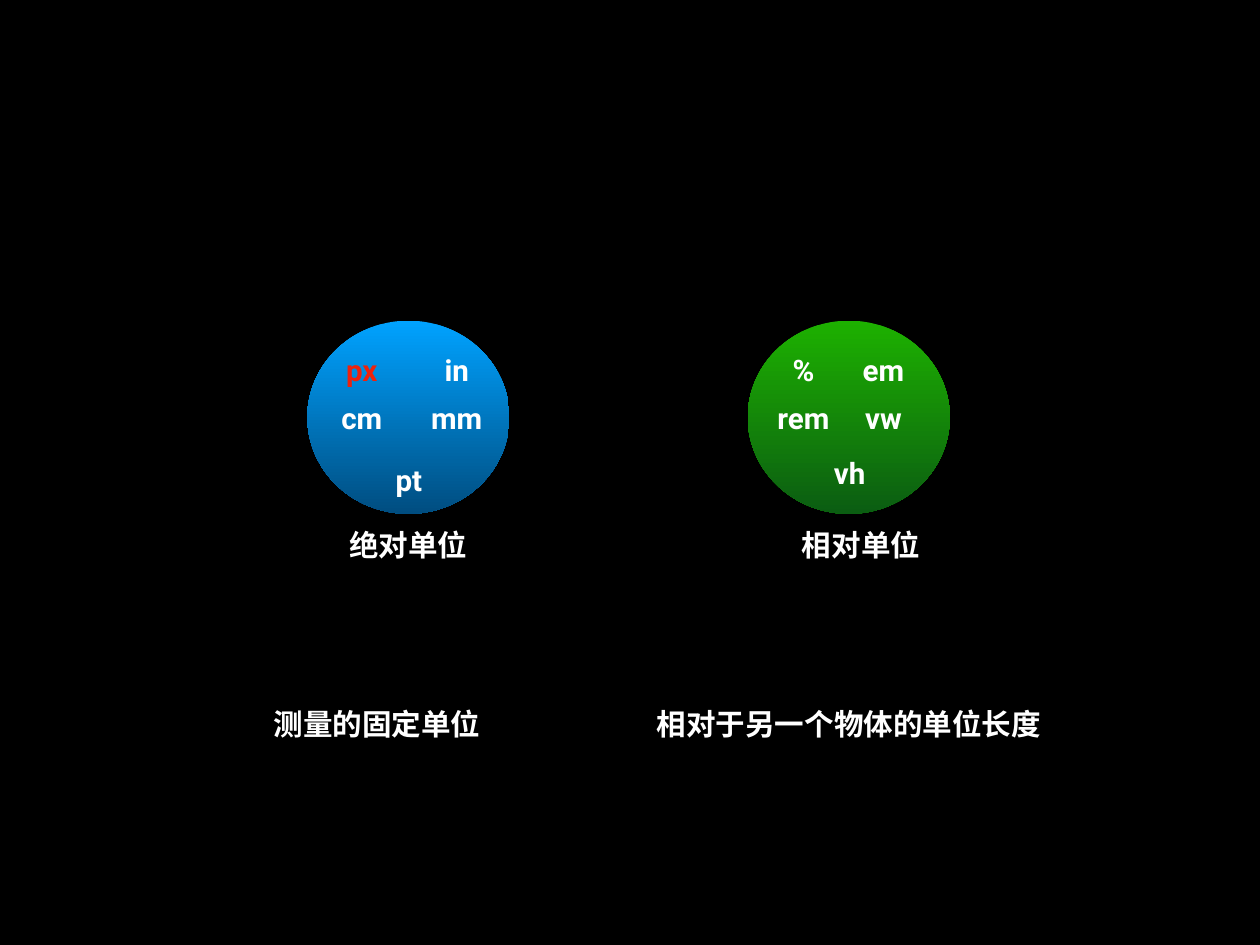
"""Build a slide that contrasts absolute and relative length units."""
from dataclasses import dataclass

from pptx import Presentation
from pptx.dml.color import RGBColor
from pptx.enum.shapes import MSO_SHAPE
from pptx.enum.text import MSO_ANCHOR, MSO_AUTO_SIZE, PP_ALIGN
from pptx.slide import Slide
from pptx.util import Pt

OVAL = MSO_SHAPE.OVAL
MIDDLE = MSO_ANCHOR.MIDDLE
CENTER = PP_ALIGN.CENTER
GROW = MSO_AUTO_SIZE.SHAPE_TO_FIT_TEXT

WHITE, RED, BLACK = "FFFFFF", "EE220C", "000000"
CIRCLE_TOP, CIRCLE_WIDTH, CIRCLE_HEIGHT = 260.6, 164.2, 157
CAPTION_TOP, CAPTION_WIDTH, DESCRIPTION_TOP = 422.6, 105, 567.4
CHINESE_HEIGHT, UNIT_HEIGHT = 41, 36
FIRST_ROW, SECOND_ROW = 282.2, 321.1


@dataclass
class Unit:
    name: str
    center: float
    top: float
    width: float
    color: str = WHITE


@dataclass
class UnitGroup:
    circle_left: float
    gradient: tuple[str, str]
    caption: str
    caption_center: float
    description: str
    description_center: float
    description_width: float
    units: list[Unit]


GROUPS = [
    UnitGroup(249.8, ("00A2FF", "004D80"), "绝对单位", 331.9,
              "测量的固定单位", 306.4, 251.3, [
                  Unit("px", 294, FIRST_ROW, 36.7, RED),
                  Unit("in", 371.2, FIRST_ROW, 29.5),
                  Unit("cm", 294, SECOND_ROW, 44.6),
                  Unit("mm", 371.2, SECOND_ROW, 52.6),
                  Unit("pt", 332.3, 371.5, 32.4),
              ]),
    UnitGroup(607.7, ("1DB100", "0B5D12"), "相对单位", 699.8,
              "相对于另一个物体的单位长度", 689.8, 322.6, [
                  Unit("%", 653, FIRST_ROW, 33),
                  Unit("em", 718, FIRST_ROW, 44.6),
                  Unit("rem", 653, SECOND_ROW, 53.3),
                  Unit("vw", 718, SECOND_ROW, 41),
                  Unit("vh", 690.5, 365.8, 36),
              ]),
]


def rgb(color: str) -> RGBColor:
    """Turn a hex string into a colour."""
    return RGBColor.from_string(color)


def add_text(slide: Slide, text: str, *, center: float, top: float,
             width: float, height: float, color: str = WHITE,
             wrap: bool = False) -> None:
    """Add a bold text box centred on a horizontal position."""
    box = slide.shapes.add_textbox(Pt(center - width / 2), Pt(top), Pt(width), Pt(height))
    frame = box.text_frame
    frame.word_wrap = wrap
    frame.auto_size = GROW
    frame.vertical_anchor = MIDDLE
    frame.margin_left = frame.margin_right = Pt(4)
    frame.margin_top = frame.margin_bottom = Pt(4)
    paragraph = frame.paragraphs[0]
    paragraph.alignment = CENTER
    run = paragraph.add_run()
    run.text = text
    run.font.name = "Roboto"
    run.font.size = Pt(24)
    run.font.bold = True
    run.font.color.rgb = rgb(color)


def add_circle(slide: Slide, left: float, gradient: tuple[str, str]) -> None:
    """Add an ellipse shaded from top to bottom."""
    shape = slide.shapes.add_shape(
        OVAL, Pt(left), Pt(CIRCLE_TOP), Pt(CIRCLE_WIDTH), Pt(CIRCLE_HEIGHT))
    shape.shadow.inherit = False
    shape.line.fill.background()
    shape.fill.gradient()
    shape.fill.gradient_angle = 270
    for stop, color in zip(shape.fill.gradient_stops, gradient):
        stop.color.rgb = rgb(color)


def add_group(slide: Slide, group: UnitGroup) -> None:
    """Draw one circle with its units, caption and description."""
    add_circle(slide, group.circle_left, group.gradient)
    add_text(slide, group.caption, center=group.caption_center, top=CAPTION_TOP,
             width=CAPTION_WIDTH, height=CHINESE_HEIGHT)
    add_text(slide, group.description, center=group.description_center,
             top=DESCRIPTION_TOP, width=group.description_width,
             height=CHINESE_HEIGHT, wrap=True)
    for unit in group.units:
        add_text(slide, unit.name, center=unit.center, top=unit.top,
                 width=unit.width, height=UNIT_HEIGHT, color=unit.color)


def main() -> None:
    """Create and save the presentation."""
    presentation = Presentation()
    presentation.slide_width, presentation.slide_height = Pt(1024), Pt(768)
    slide = presentation.slides.add_slide(presentation.slide_layouts[6])
    slide.background.fill.solid()
    slide.background.fill.fore_color.rgb = rgb(BLACK)
    for group in GROUPS:
        add_group(slide, group)
    presentation.save("out.pptx")


if __name__ == "__main__":
    main()
